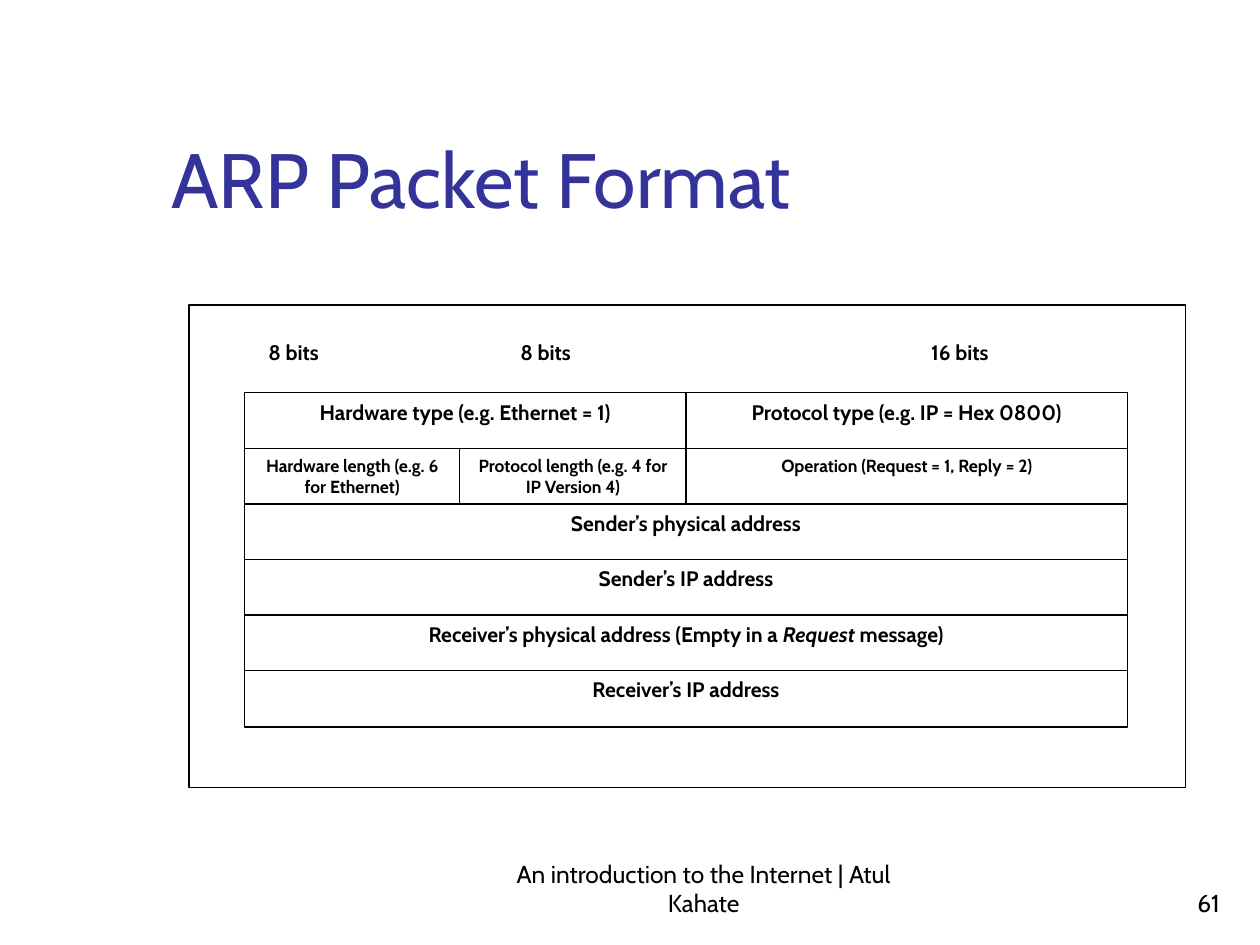
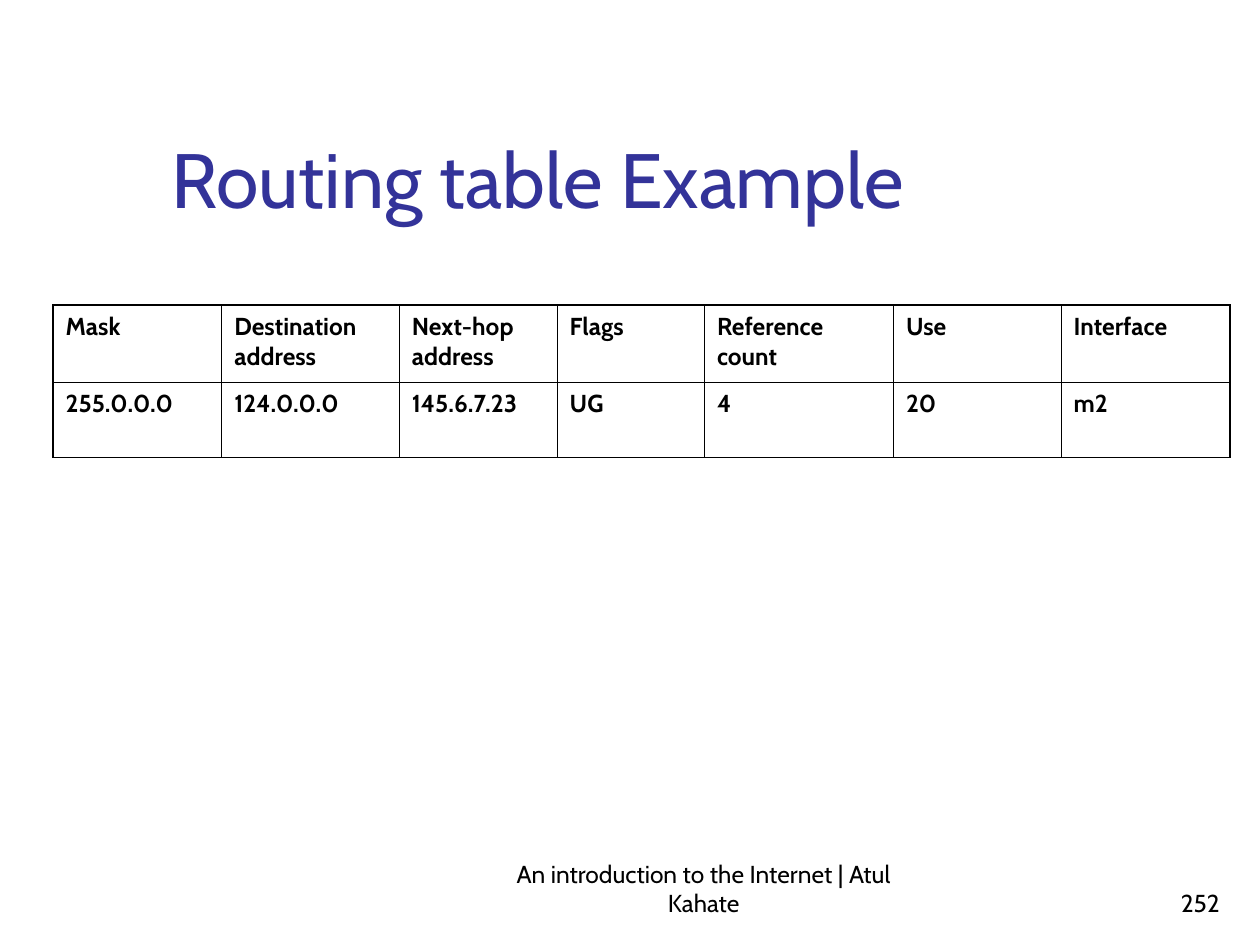
from typing import NamedTuple

from lxml import etree
from pptx import Presentation
from pptx import util as u
from pptx.dml.color import RGBColor
from pptx.enum import shapes, text
from pptx.oxml.ns import qn

FONT = "Cabin"
INK = RGBColor(0x00, 0x00, 0x00)
PAPER = RGBColor(0xFF, 0xFF, 0xFF)
TITLE_BLUE = RGBColor(0x33, 0x33, 0x99)
ALIGN = text.PP_ALIGN

FOOTER = "An introduction to the Internet | Atul Kahate"
COLUMN_EDGES = (4.93, 9.27, 13.83, 22.73)
FIELD_TOP = 7.92
ROW_PITCH = 1.12
FIELD_HEIGHT = 1.14
BITS_TABS = (5.08, 13.36)

TABLE_WIDTHS = (3.4, 3.58, 3.18, 2.97, 3.81, 3.38, 3.4)
TABLE_HEIGHTS = (1.55, 1.52)
ROUTES = (
    ("Mask", "Destination address", "Next-hop address", "Flags",
     "Reference count", "Use", "Interface"),
    ("255.0.0.0", "124.0.0.0", "145.6.7.23", "UG", "4", "20", "m2"),
)
OUTER_LINE = 1.08
INNER_LINE = 0.45


class Area(NamedTuple):
    left: float
    top: float
    width: float
    height: float

    def lengths(self) -> list:
        return [u.Cm(value) for value in self]


class PacketField(NamedTuple):
    wording: tuple
    row: int
    first: int = 0
    last: int = 3
    size: int = 12

    def area(self) -> Area:
        left, right = COLUMN_EDGES[self.first], COLUMN_EDGES[self.last]
        return Area(left, FIELD_TOP + self.row * ROW_PITCH, right - left, FIELD_HEIGHT)


TITLE_AREA = Area(3.2, 0.58, 21.64, 4.06)
FOOTER_AREA = Area(10.16, 17.35, 8.05, 1.27)
NUMBER_AREA = Area(19.56, 17.35, 5.28, 1.27)
FRAME_AREA = Area(3.81, 6.15, 20.09, 9.73)
BITS_AREA = Area(5.16, 6.73, 17.17, 0.79)
TABLE_AREA = Area(1.07, 6.15, sum(TABLE_WIDTHS), sum(TABLE_HEIGHTS))

PACKET_FIELDS = (
    PacketField(("Hardware type (e.g. Ethernet = 1)",), 0, 0, 2),
    PacketField(("Protocol type (e.g. IP = Hex 0800)",), 0, 2, 3),
    PacketField(("Hardware length (e.g. 6 for Ethernet)",), 1, 0, 1, 10),
    PacketField(("Protocol length (e.g. 4 for IP Version 4)",), 1, 1, 2, 10),
    PacketField(("Operation (Request = 1, Reply = 2)",), 1, 2, 3, 10),
    PacketField(("Sender’s physical address",), 2),
    PacketField(("Sender’s IP address",), 3),
    PacketField(("Receiver’s physical address (Empty in a ", "Request", " message)"), 4),
    PacketField(("Receiver’s IP address",), 5),
)


def format_para(para, size: float, align=ALIGN.LEFT, bold: bool = False,
                color: RGBColor = INK) -> None:
    para.alignment = align
    for span in para.runs:
        span.font.name = FONT
        span.font.size = u.Pt(size)
        span.font.bold = bold
        span.font.color.rgb = color


def add_note(page, area: Area, words: str, align) -> None:
    frame = page.shapes.add_textbox(*area.lengths()).text_frame
    frame.word_wrap = True
    frame.vertical_anchor = text.MSO_ANCHOR.BOTTOM
    frame.text = words
    format_para(frame.paragraphs[0], 14, align)


def add_page(deck, title: str, number: int):
    page = deck.slides.add_slide(deck.slide_layouts.get_by_name("Title Only"))
    box = page.shapes.title
    box.left, box.top, box.width, box.height = TITLE_AREA.lengths()
    box.text_frame.text = title
    box.text_frame.vertical_anchor = text.MSO_ANCHOR.BOTTOM
    format_para(box.text_frame.paragraphs[0], 44, color=TITLE_BLUE)
    add_note(page, FOOTER_AREA, FOOTER, ALIGN.CENTER)
    add_note(page, NUMBER_AREA, str(number), ALIGN.RIGHT)
    return page


def add_box(group, area: Area, outlined: bool = True):
    box = group.shapes.add_shape(shapes.MSO_SHAPE.RECTANGLE, *area.lengths())
    box.shadow.inherit = False
    box.fill.solid()
    box.fill.fore_color.rgb = PAPER
    if outlined:
        box.line.color.rgb = INK
        box.line.width = u.Pt(0.75)
    else:
        box.line.fill.background()
    box.text_frame.word_wrap = True
    box.text_frame.vertical_anchor = text.MSO_ANCHOR.TOP
    return box


def add_tabs(para, stops: tuple) -> None:
    tabs = etree.SubElement(para._p.get_or_add_pPr(), qn("a:tabLst"))
    for stop in stops:
        etree.SubElement(tabs, qn("a:tab"), pos=str(u.Cm(stop)), algn="l")


def draw_packet(page) -> None:
    group = page.shapes.add_group_shape()
    add_box(group, FRAME_AREA)

    para = add_box(group, BITS_AREA, outlined=False).text_frame.paragraphs[0]
    add_tabs(para, BITS_TABS)
    para.text = "8 bits\t8 bits\t16 bits"
    format_para(para, 12, bold=True)

    for field in PACKET_FIELDS:
        para = add_box(group, field.area()).text_frame.paragraphs[0]
        for index, words in enumerate(field.wording):
            span = para.add_run()
            span.text = words
            span.font.italic = index == 1
        format_para(para, field.size, ALIGN.CENTER, bold=True)


def set_borders(cell, widths: dict) -> None:
    properties = cell._tc.get_or_add_tcPr()
    for side, width in widths.items():
        line = etree.SubElement(properties, qn(f"a:ln{side}"), w=str(u.Pt(width)))
        fill = etree.SubElement(line, qn("a:solidFill"))
        etree.SubElement(fill, qn("a:srgbClr"), val=str(INK))


def draw_routes(page) -> None:
    last_row, last_column = len(ROUTES) - 1, len(TABLE_WIDTHS) - 1
    table = page.shapes.add_table(
        len(ROUTES), len(TABLE_WIDTHS), *TABLE_AREA.lengths()).table
    table.first_row = table.horz_banding = False
    for column, width in zip(table.columns, TABLE_WIDTHS):
        column.width = u.Cm(width)
    for row, height in zip(table.rows, TABLE_HEIGHTS):
        row.height = u.Cm(height)
    for r, values in enumerate(ROUTES):
        for c, value in enumerate(values):
            cell = table.cell(r, c)
            edges = {"L": c == 0, "R": c == last_column, "T": r == 0, "B": r == last_row}
            set_borders(cell, {side: OUTER_LINE if outer else INNER_LINE
                               for side, outer in edges.items()})
            cell.fill.background()
            cell.text_frame.text = value
            para = cell.text_frame.paragraphs[0]
            para.line_spacing = 1.01
            format_para(para, 14, bold=True)


def main() -> None:
    deck = Presentation()
    deck.slide_width, deck.slide_height = u.Cm(25.4), u.Cm(19.05)
    draw_packet(add_page(deck, "ARP Packet Format", 61))
    draw_routes(add_page(deck, "Routing table Example", 252))
    deck.save("out.pptx")


if __name__ == "__main__":
    main()
